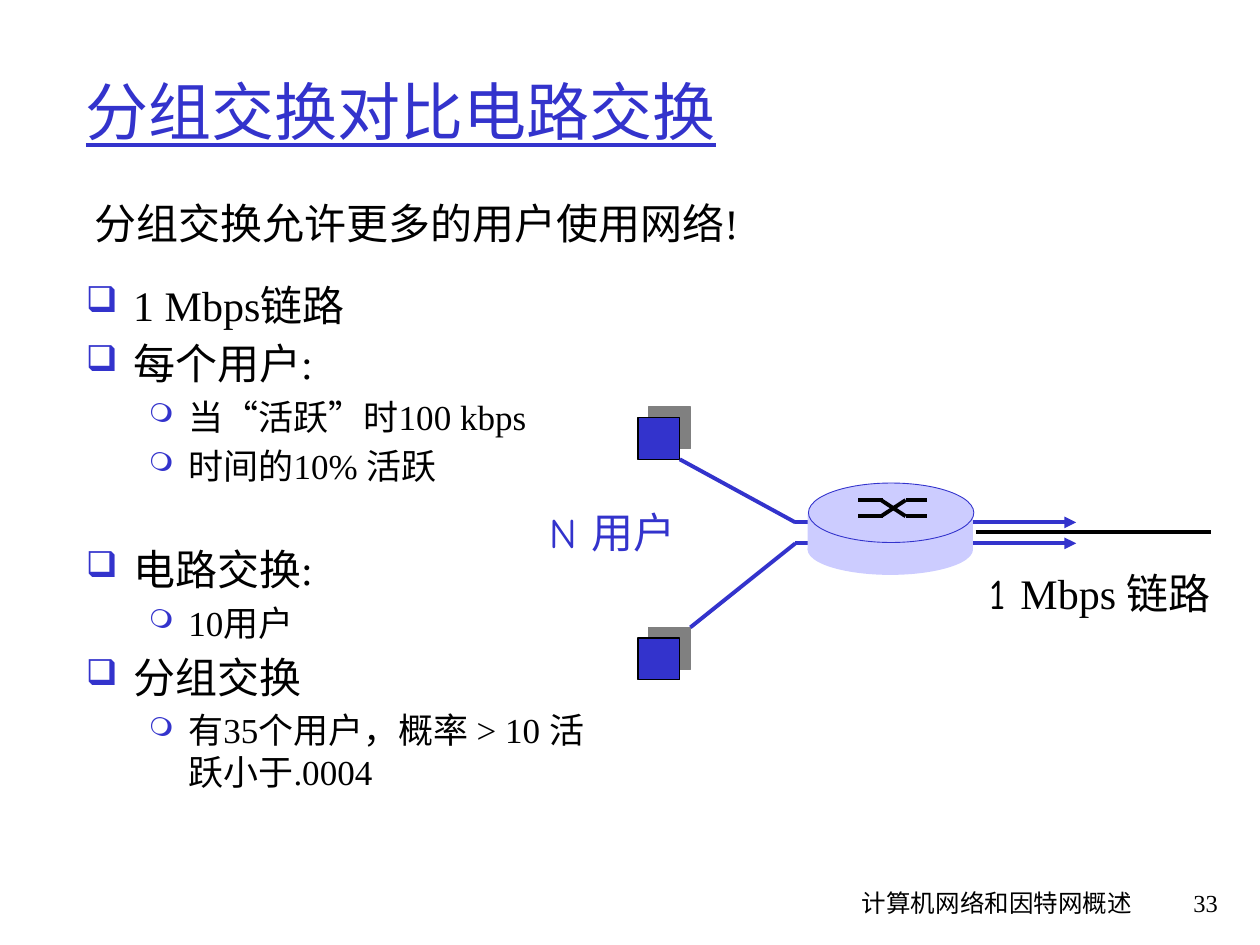
from dataclasses import dataclass

from lxml import etree
from pptx import Presentation
from pptx.dml.color import RGBColor
from pptx.enum import shapes, text
from pptx.oxml import ns
from pptx.util import Pt

BLUE = RGBColor(0x33, 0x33, 0xCC)
LAVENDER = RGBColor(0xCC, 0xCC, 0xFF)
BLACK = RGBColor(0, 0, 0)
SERIF = "Times New Roman"
COMIC = "Comic Neue"
LEFT, RIGHT = text.PP_ALIGN.LEFT, text.PP_ALIGN.RIGHT
OVAL, RECTANGLE = shapes.MSO_SHAPE.OVAL, shapes.MSO_SHAPE.RECTANGLE


@dataclass
class Label:
    box: tuple[float, float, float, float]
    phrases: list[tuple[str, str]]
    size: float = 24
    color: RGBColor = BLACK
    align: text.PP_ALIGN = LEFT
    underline: bool = False
    anchor: text.MSO_ANCHOR = text.MSO_ANCHOR.TOP


@dataclass
class Bullet:
    level: int
    phrases: list[tuple[str, str]]
    extra_gap: float = 0


@dataclass
class BulletStyle:
    mark: str
    mark_percent: int
    size: float
    margin: float
    hanging: float
    gap: float


@dataclass
class Line:
    start: tuple[float, float]
    end: tuple[float, float]
    color: RGBColor = BLACK
    arrow: bool = False


BULLET_STYLES = [
    BulletStyle("❑", 85, 24, 27, 27, 4.8),
    BulletStyle("❍", 75, 20, 58.5, 22.5, 4),
]
BULLETS = [
    Bullet(0, [("1 Mbps链路", SERIF)]),
    Bullet(0, [("每个用户:", SERIF)]),
    Bullet(1, [("当", SERIF), ("“", COMIC), ("活跃", SERIF), ("”", COMIC), ("时100 kbps", SERIF)]),
    Bullet(1, [("时间的10% 活跃", SERIF)]),
    Bullet(0, [("电路交换:", SERIF)], extra_gap=28),
    Bullet(1, [("10用户", SERIF)]),
    Bullet(0, [("分组交换", SERIF)]),
    Bullet(1, [("有35个用户，概率 > 10 活跃小于.0004", SERIF)]),
]
LABELS = [
    Label((426, 504, 228, 36), [("计算机网络和因特网概述", COMIC)], 14, align=RIGHT),
    Label((654, 504, 49, 36), [("33", SERIF)], 14, align=RIGHT),
    Label((42, 18, 630, 90), [("分组交换对比电路交换", SERIF)], 36, BLUE,
          underline=True, anchor=text.MSO_ANCHOR.MIDDLE),
    Label((47, 109.5, 600, 48), [("分组交换允许更多的用户使用网络!", SERIF)]),
    Label((307, 286, 88.5, 36), [("N 用户", COMIC)], color=BLUE),
    Label((558.5, 321, 142.5, 36), [("1 ", COMIC), ("Mbps ", SERIF), ("链路", COMIC)]),
]
ACCESS_LINES = [
    Line((388.5, 262.5), (454.5, 298.5), BLUE),
    Line((454.5, 298.5), (615, 298.5), BLUE, True),
    Line((454.5, 310.5), (615, 310.5), BLUE, True),
    Line((394.5, 358.5), (454.5, 310.5), BLUE),
]
HIGH, LOW = 285.8, 295
ROUTER_LINES = [
    line
    for near, far in ((HIGH, LOW), (LOW, HIGH))
    for line in (
        Line((490.5, near), (504.5, near)),
        Line((503.5, near), (517.5, far)),
        Line((517.5, far), (530, far)),
    )
]
OUTGOING_LINE = Line((557.5, 304), (692, 304))


def points(values):
    return [Pt(value) for value in values]


def add_element(parent, tag: str, **attributes: str):
    return etree.SubElement(parent, ns.qn(tag), attributes)


def add_runs(paragraph, phrases, size: float, color: RGBColor, underline: bool = False):
    for words, font_name in phrases:
        run = paragraph.add_run()
        run.text = words
        run.font.name = font_name
        run.font.size = Pt(size)
        run.font.color.rgb = color
        if underline:
            run.font.underline = True


def add_label(slide, label: Label):
    frame = slide.shapes.add_textbox(*points(label.box)).text_frame
    frame.word_wrap = True
    frame.vertical_anchor = label.anchor
    paragraph = frame.paragraphs[0]
    paragraph.alignment = label.align
    add_runs(paragraph, label.phrases, label.size, label.color, label.underline)


def add_bullets(slide, bullets: list[Bullet]):
    frame = slide.shapes.add_textbox(*points((42, 156, 300, 366))).text_frame
    frame.word_wrap = True
    for index, bullet in enumerate(bullets):
        style = BULLET_STYLES[bullet.level]
        paragraph = frame.add_paragraph() if index else frame.paragraphs[0]
        paragraph.level = bullet.level
        if index:
            paragraph.space_before = Pt(style.gap + bullet.extra_gap)
        properties = paragraph._p.get_or_add_pPr()
        properties.set("marL", str(Pt(style.margin)))
        properties.set("indent", str(-Pt(style.hanging)))
        bullet_color = add_element(properties, "a:buClr")
        add_element(bullet_color, "a:srgbClr", val=str(BLUE))
        add_element(properties, "a:buSzPct", val=str(style.mark_percent * 1000))
        add_element(properties, "a:buChar", char=style.mark)
        add_runs(paragraph, bullet.phrases, style.size, BLACK)


def add_line(slide, line: Line):
    connector = slide.shapes.add_connector(
        shapes.MSO_CONNECTOR.STRAIGHT, *points(line.start + line.end))
    connector.line.color.rgb = line.color
    connector.line.width = Pt(2.25)
    if line.arrow:
        add_element(connector.line._get_or_add_ln(), "a:tailEnd", type="triangle")
    add_element(connector._element.spPr, "a:effectLst")


def add_solid(slide, kind, box, fill: RGBColor, outline: RGBColor | None = None, width: float = 0):
    shape = slide.shapes.add_shape(kind, *points(box))
    shape.shadow.inherit = False
    shape.fill.solid()
    shape.fill.fore_color.rgb = fill
    if outline is None:
        shape.line.fill.background()
    else:
        shape.line.color.rgb = outline
        shape.line.width = Pt(width)
    return shape


def add_host(slide, top: float):
    host = add_solid(slide, RECTANGLE, (364.5, top, 24, 24), BLUE, BLACK, 0.75)
    effects = host._element.spPr.find(ns.qn("a:effectLst"))
    shadow = add_element(effects, "a:outerShdw", dist=str(Pt(8.5)),
                         dir=str(315 * 60000), algn="ctr", rotWithShape="0")
    add_element(shadow, "a:srgbClr", val="808080")


def add_router(slide):
    add_solid(slide, OVAL, (461.5, 299.5, 94.5, 29), LAVENDER)
    add_solid(slide, RECTANGLE, (461.5, 293.5, 94.5, 21), LAVENDER)
    add_solid(slide, OVAL, (462, 276, 94.5, 34), LAVENDER, BLUE, 0.5)
    for line in ROUTER_LINES:
        add_line(slide, line)


def main():
    presentation = Presentation()
    presentation.slide_width, presentation.slide_height = Pt(720), Pt(540)
    slide = presentation.slides.add_slide(presentation.slide_layouts[6])
    for label in LABELS:
        add_label(slide, label)
    add_bullets(slide, BULLETS)
    for top in (238.5, 364.5):
        add_host(slide, top)
    for line in ACCESS_LINES:
        add_line(slide, line)
    add_router(slide)
    add_line(slide, OUTGOING_LINE)
    presentation.save("out.pptx")


if __name__ == "__main__":
    main()
